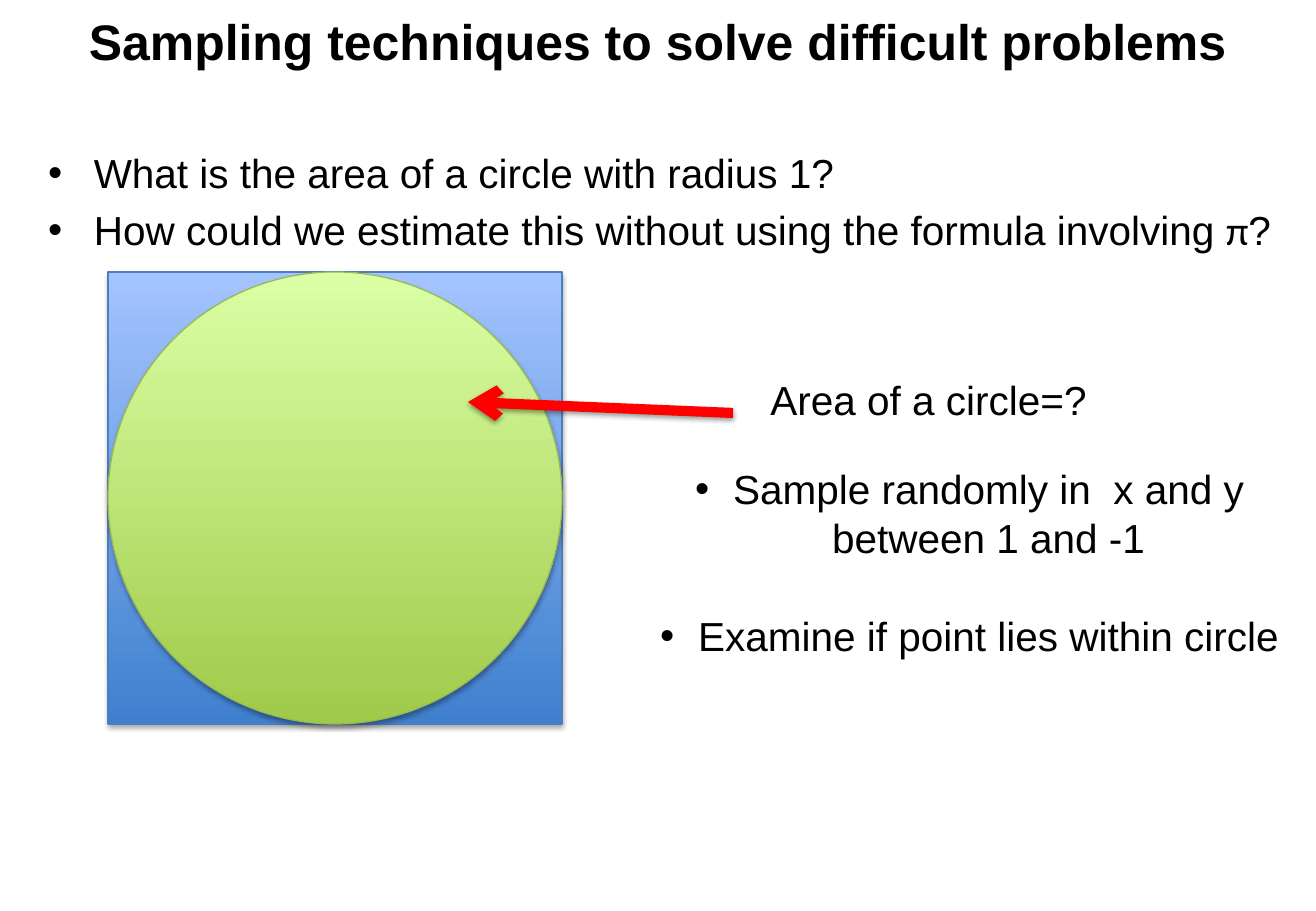
from lxml import etree
from pptx import Presentation
from pptx import util as u
from pptx.dml.color import RGBColor
from pptx.enum import shapes, text
from pptx.oxml import ns

PX = 7526
BLACK = RGBColor(0x00, 0x00, 0x00)
RED = RGBColor(0xFF, 0x00, 0x00)
SQUARE_DARK = RGBColor(0x3F, 0x80, 0xCE)
SQUARE_LIGHT = RGBColor(0xA4, 0xC4, 0xFF)
SQUARE_LINE = RGBColor(0x4B, 0x7E, 0xBC)
CIRCLE_DARK = RGBColor(0xA0, 0xCA, 0x4A)
CIRCLE_LIGHT = RGBColor(0xDA, 0xFF, 0xA5)
CIRCLE_LINE = RGBColor(0x98, 0xB9, 0x55)

BODY_FONT = {"name": "Arial", "size": u.Pt(24)}
TITLE_FONT = {"name": "Arial", "size": u.Pt(29.6), "bold": True}
LINE_PITCH = u.Pt(29)


def px(*lengths):
    """Turn pixel lengths into EMU."""
    return [length * PX for length in lengths]


def set_values(target, values):
    """Set each named attribute of the target."""
    for name, value in values.items():
        setattr(target, name, value)


def place(shape, box):
    """Move a shape to the given pixel box."""
    set_values(shape, dict(zip(("left", "top", "width", "height"), px(*box))))


def add_child(parent, tag, **attributes):
    """Append a drawing element to its parent."""
    return etree.SubElement(parent, ns.qn(tag), attributes)


def add_shadow(effects, distance, opacity):
    """Add a soft black shadow falling straight down."""
    shadow = add_child(effects, "a:outerShdw", blurRad="40000", dist=str(distance),
                       dir="5400000", rotWithShape="0")
    colour = add_child(shadow, "a:srgbClr", val=str(BLACK))
    add_child(colour, "a:alpha", val=str(opacity * 1000))


def write(para, spans, font=BODY_FONT):
    """Write (wording, font changes) spans into a paragraph."""
    for wording, changes in spans:
        span = para.add_run()
        span.text = wording
        set_values(span.font, {**font, **changes})
        span.font.color.rgb = BLACK


def write_list(frame, items, layout):
    """Write one formatted paragraph for each item."""
    for index, spans in enumerate(items):
        para = frame.add_paragraph() if index else frame.paragraphs[0]
        set_values(para, layout)
        write(para, spans)


def add_heading(page, box):
    """Fill the title placeholder."""
    title = page.shapes.title
    place(title, box)
    set_values(title.text_frame, {"auto_size": text.MSO_AUTO_SIZE.NONE,
                                  "vertical_anchor": text.MSO_ANCHOR.MIDDLE})
    para = title.text_frame.paragraphs[0]
    para.alignment = text.PP_ALIGN.CENTER
    write(para, [("Sampling techniques to solve difficult problems", {})], TITLE_FONT)


def add_questions(page, box):
    """Fill the body placeholder with the two questions."""
    body = page.placeholders[1]
    place(body, box)
    body.text_frame.auto_size = text.MSO_AUTO_SIZE.NONE
    write_list(body.text_frame, [
        [("What is the area of a circle with radius 1?", {})],
        [("How could we estimate this without using the formula involving ", {}),
         ("π", {"name": "Calibri"}), ("?", {})],
    ], {"line_spacing": LINE_PITCH})


def add_diagram(page, box):
    """Draw the circle inside its square as one group."""
    group = page.shapes.add_group_shape()
    for kind, dark, light, edge in (
        (shapes.MSO_SHAPE.RECTANGLE, SQUARE_DARK, SQUARE_LIGHT, SQUARE_LINE),
        (shapes.MSO_SHAPE.OVAL, CIRCLE_DARK, CIRCLE_LIGHT, CIRCLE_LINE),
    ):
        figure = group.shapes.add_shape(kind, *px(*box))
        figure.fill.gradient()
        figure.fill.gradient_angle = 90
        for stop, colour in zip(figure.fill.gradient_stops, (dark, light)):
            stop.color.rgb = colour
        figure.line.color.rgb = edge
        figure.line.width = u.Pt(0.75)
        figure.shadow.inherit = False
        effects = figure._element.spPr.find(ns.qn("a:effectLst"))
        add_shadow(effects, 23000, 35)


def add_arrow(page, start, end):
    """Draw the red arrow pointing into the circle."""
    arrow = page.shapes.add_connector(shapes.MSO_CONNECTOR.STRAIGHT, *px(*start, *end))
    arrow.line.color.rgb = RED
    arrow.line.width = u.Pt(6)
    add_child(arrow.line._get_or_add_ln(), "a:tailEnd", type="arrow")
    add_shadow(add_child(arrow._element.spPr, "a:effectLst"), 20000, 38)


def add_area_label(page, box):
    """Add the label beside the arrow."""
    label = page.shapes.add_textbox(*px(*box))
    set_values(label.text_frame, {"word_wrap": False,
                                  "auto_size": text.MSO_AUTO_SIZE.SHAPE_TO_FIT_TEXT})
    write_list(label.text_frame, [[("Area of a circle=?", {})]],
               {"alignment": text.PP_ALIGN.CENTER, "line_spacing": LINE_PITCH})


def add_steps(page, box):
    """Add the centred, bulleted sampling steps."""
    steps = page.shapes.add_textbox(*px(*box))
    frame = steps.text_frame
    set_values(frame, {"word_wrap": True,
                       "auto_size": text.MSO_AUTO_SIZE.SHAPE_TO_FIT_TEXT})
    write_list(frame, [
        [("Sample randomly in  x and y between 1 and -1", {})],
        [("Examine if point lies within circle", {})],
    ], {"alignment": text.PP_ALIGN.CENTER, "line_spacing": LINE_PITCH})
    frame.paragraphs[1].space_before = LINE_PITCH
    indent = 38 * PX
    for para in frame.paragraphs:
        properties = para._p.get_or_add_pPr()
        properties.set("marL", str(indent))
        properties.set("indent", str(-indent))
        add_child(properties, "a:buFont", typeface="Arial")
        add_child(properties, "a:buChar", char="•")


def main():
    """Build and save the sampling slide."""
    deck = Presentation()
    deck.slide_width, deck.slide_height = px(1316, 911)
    page = deck.slides.add_slide(deck.slide_layouts[1])
    add_heading(page, (66, 1, 1185, 80))
    add_questions(page, (36, 142, 1254, 182))
    add_diagram(page, (108, 272, 454, 452))
    add_area_label(page, (756, 369, 345, 61))
    add_arrow(page, (733, 413), (468, 402))
    add_steps(page, (640, 458, 659, 209))
    deck.save("out.pptx")


if __name__ == "__main__":
    main()
